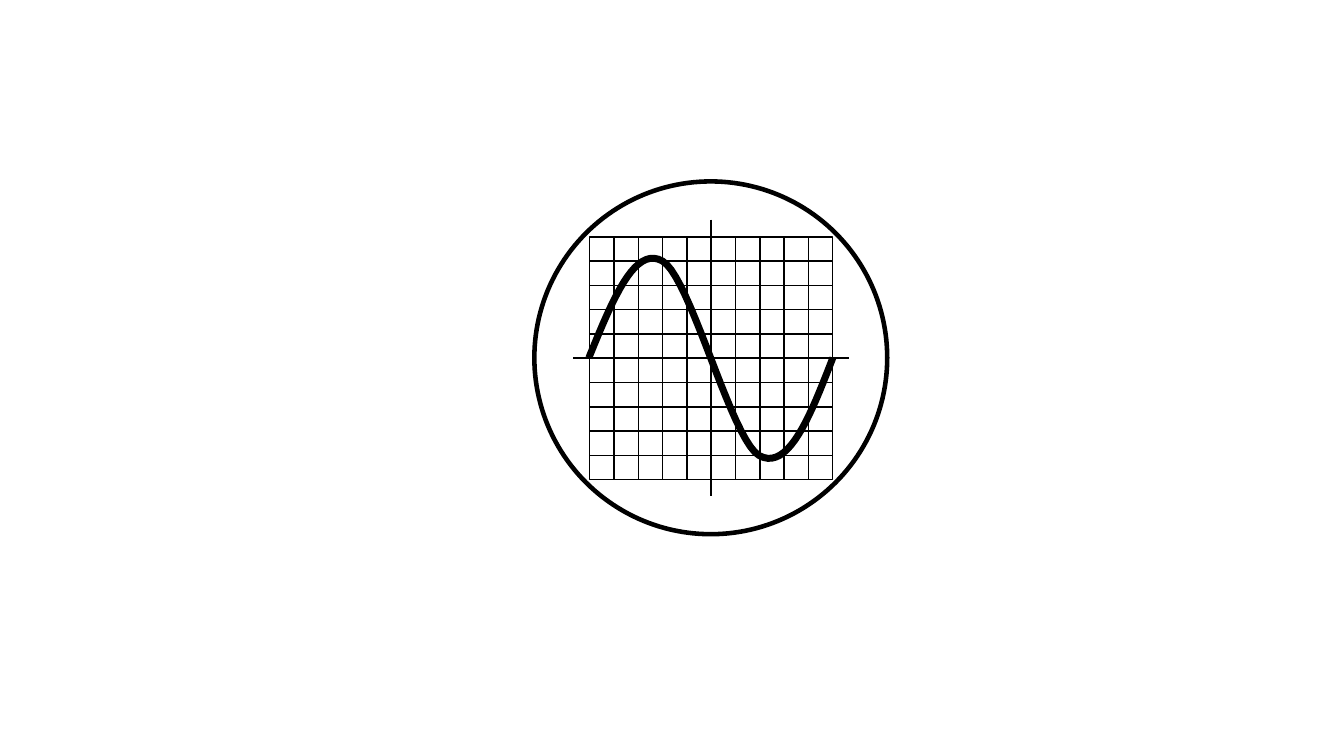
from dataclasses import dataclass
from itertools import product
from typing import NamedTuple

from pptx import Presentation
from pptx.dml.color import RGBColor
from pptx.dml.line import LineFormat
from pptx.enum.shapes import MSO_CONNECTOR, MSO_SHAPE
from pptx.oxml.ns import qn
from pptx.shapes.autoshape import Shape
from pptx.shapes.shapetree import GroupShapes
from pptx.util import Inches, Pt
from lxml.etree import SubElement


@dataclass(frozen=True)
class Theme:
    ink: RGBColor = RGBColor(0, 0, 0)
    rim_width: float = 3.25
    axis_width: float = 1.5
    wave_width: float = 5
    grid_width: float = 1


class Point(NamedTuple):
    x: float
    y: float


@dataclass(frozen=True)
class Axis:
    start: Point
    end: Point


@dataclass(frozen=True)
class Curve:
    start: Point
    control_1: Point
    control_2: Point
    end: Point

    def at(self, t: float) -> Point:
        weights = ((1 - t) ** 3, 3 * t * (1 - t) ** 2, 3 * t**2 * (1 - t), t**3)
        points = (self.start, self.control_1, self.control_2, self.end)
        return Point(*(sum(w * v for w, v in zip(weights, values)) for values in zip(*points)))


THEME = Theme()
CENTRE = Point(7.05, 3.55)
RIM_SIZE = 3.5
AXIS_REACH = 1.37
GRID_ORIGIN = Point(5.85, 2.35)
GRID_SIZE = 2.41
CELL_COUNT = 10
CURVE_STEPS = 20

AXES = (
    Axis(Point(CENTRE.x, CENTRE.y - AXIS_REACH), Point(CENTRE.x, CENTRE.y + AXIS_REACH)),
    Axis(Point(CENTRE.x + AXIS_REACH, CENTRE.y), Point(CENTRE.x - AXIS_REACH, CENTRE.y)),
)
WAVE = (
    Curve(Point(5.84, 3.55), Point(6.07, 2.99), Point(6.29, 2.43), Point(6.57, 2.59)),
    Curve(Point(6.57, 2.59), Point(6.85, 2.75), Point(7.25, 4.36), Point(7.53, 4.52)),
    Curve(Point(7.53, 4.52), Point(7.82, 4.68), Point(8.04, 4.12), Point(8.26, 3.55)),
)


def style_line(line: LineFormat, width: float) -> None:
    line.color.rgb = THEME.ink
    line.width = Pt(width)


def style_outline(shape: Shape, width: float) -> None:
    shape.shadow.inherit = False
    shape.fill.background()
    style_line(shape.line, width)


def draw_outline(shapes: GroupShapes, kind: MSO_SHAPE, corner: Point, size: float, width: float) -> None:
    shape = shapes.add_shape(kind, Inches(corner.x), Inches(corner.y), Inches(size), Inches(size))
    style_outline(shape, width)


def draw_axis(shapes: GroupShapes, axis: Axis) -> None:
    ends = [Inches(value) for value in (*axis.start, *axis.end)]
    connector = shapes.add_connector(MSO_CONNECTOR.STRAIGHT, *ends)
    style_line(connector.line, THEME.axis_width)
    SubElement(connector._element.spPr, qn("a:effectLst"))


def draw_wave(shapes: GroupShapes, curves: tuple[Curve, ...]) -> None:
    start = curves[0].start
    builder = shapes.build_freeform(Inches(start.x), Inches(start.y))
    points = [curve.at(step / CURVE_STEPS) for curve in curves for step in range(1, CURVE_STEPS + 1)]
    builder.add_line_segments([(Inches(x), Inches(y)) for x, y in points], close=False)
    style_outline(builder.convert_to_shape(), THEME.wave_width)


def draw_grid(shapes: GroupShapes) -> None:
    cell = GRID_SIZE / CELL_COUNT
    for row, column in product(range(CELL_COUNT), repeat=2):
        corner = Point(GRID_ORIGIN.x + column * cell, GRID_ORIGIN.y + row * cell)
        draw_outline(shapes, MSO_SHAPE.RECTANGLE, corner, cell, THEME.grid_width)


def main() -> None:
    deck = Presentation()
    deck.slide_width, deck.slide_height = Inches(13.33), Inches(7.5)
    page = deck.slides.add_slide(deck.slide_layouts[6])
    oscilloscope = page.shapes.add_group_shape().shapes

    # Round screen
    rim_corner = Point(CENTRE.x - RIM_SIZE / 2, CENTRE.y - RIM_SIZE / 2)
    draw_outline(oscilloscope, MSO_SHAPE.OVAL, rim_corner, RIM_SIZE, THEME.rim_width)

    # Crossed axes
    for axis in AXES:
        draw_axis(oscilloscope, axis)

    # Sine trace and measuring grid
    draw_wave(oscilloscope, WAVE)
    draw_grid(oscilloscope)

    deck.save("out.pptx")


if __name__ == "__main__":
    main()
